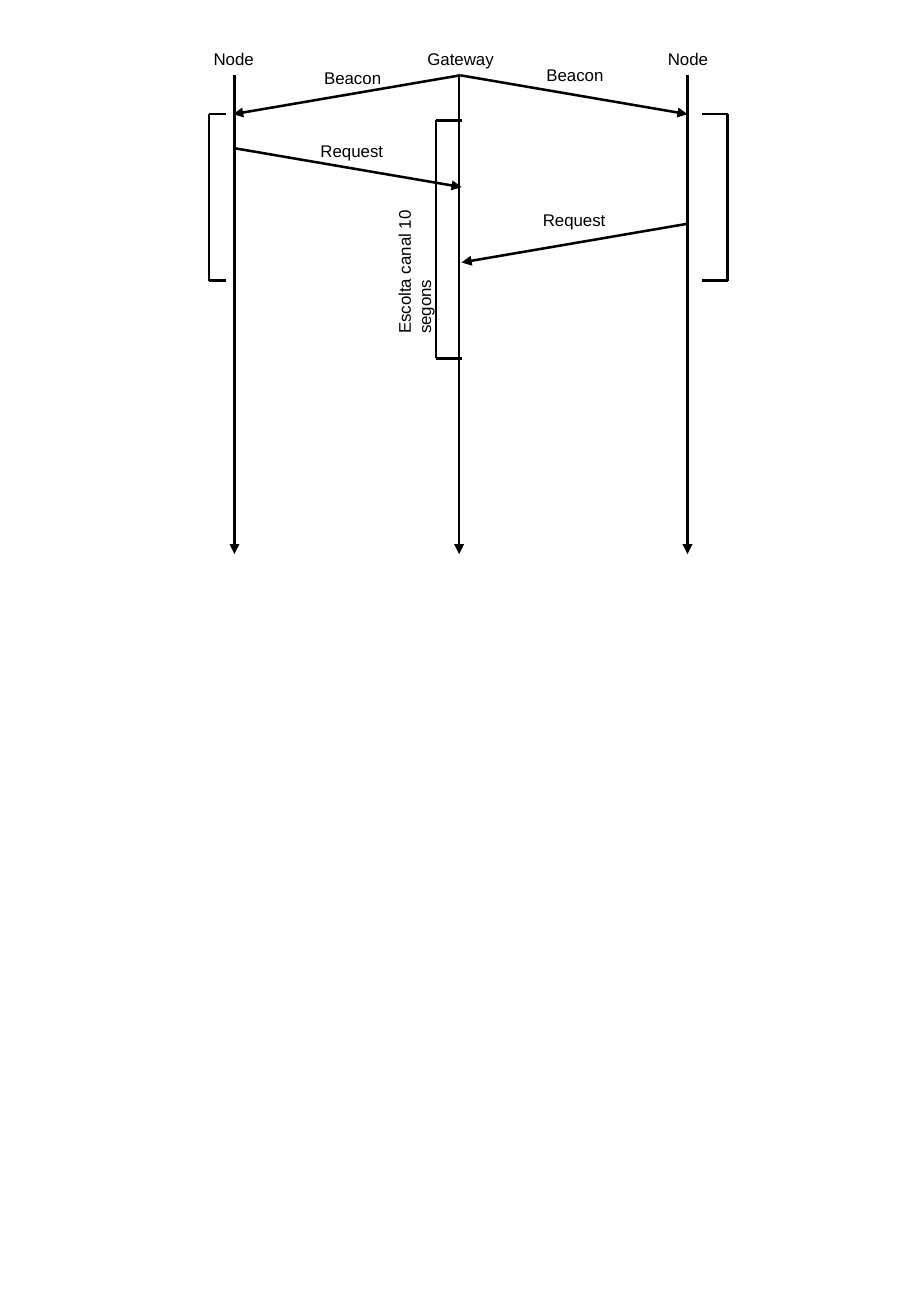
from lxml import etree
from pptx import Presentation
from pptx import util as u
from pptx.dml.color import RGBColor
from pptx.enum import shapes, text
from pptx.oxml import ns

COLORS = {"ink": "000000"}

prs = Presentation()
prs.slide_width, prs.slide_height = u.Inches(7.5), u.Inches(10.83)
s = prs.slides.add_slide(prs.slide_layouts[6])


def add_text(content, x, y, w, h=0.27, size=10, font="Arial", color="ink", wrap=False, rotation=0):
    sp = s.shapes.add_textbox(u.Inches(x), u.Inches(y), u.Inches(w), u.Inches(h))
    sp.rotation = rotation
    tf = sp.text_frame
    tf.word_wrap = wrap
    tf.auto_size = text.MSO_AUTO_SIZE.SHAPE_TO_FIT_TEXT
    r = tf.paragraphs[0].add_run()
    r.text = content
    r.font.size = u.Pt(size)
    r.font.name = font
    r.font.color.rgb = RGBColor.from_string(COLORS[color])


def add_line(parent, x1, y1, x2, y2, arrow=False):
    sp = parent.shapes.add_connector(
        shapes.MSO_CONNECTOR.STRAIGHT,
        u.Inches(x1), u.Inches(y1), u.Inches(x2), u.Inches(y2))
    sp.line.width = u.Pt(1.5)
    sp.line.color.rgb = RGBColor.from_string(COLORS["ink"])
    if arrow:
        etree.SubElement(sp.line._get_or_add_ln(), ns.qn("a:tailEnd"), type="triangle")
    etree.SubElement(sp._element.spPr, ns.qn("a:effectLst"))


# Lifelines with their names
left, middle, right = 1.93, 3.78, 5.66
top, bottom = 0.62, 4.56
for name, name_x, name_w, x in [("Node", 1.66, 0.54, left),
                                ("Gateway", 3.42, 0.75, middle),
                                ("Node", 5.4, 0.54, right)]:
    add_text(name, name_x, 0.35, name_w)
    add_line(s, x, top, x, bottom, arrow=True)

# Messages, each dropping by the same amount
drop = 0.32
for label, label_x, label_y, label_w, x1, x2, y in [
        ("Beacon", 2.57, 0.51, 0.67, 3.79, 1.92, top),
        ("Beacon", 4.4, 0.48, 0.67, 3.79, 5.66, top),
        ("Request", 2.54, 1.11, 0.72, 1.93, 3.8, 1.22),
        ("Request", 4.37, 1.68, 0.72, 5.67, 3.8, 1.84)]:
    add_line(s, x1, y, x2, y + drop, arrow=True)
    add_text(label, label_x, label_y, label_w)

# Brackets marking the listening windows
for spine, tip, y1, y2 in [(1.72, 1.86, 0.94, 2.31),
                           (5.99, 5.78, 0.94, 2.31),
                           (3.59, 3.8, 0.99, 2.95)]:
    bracket = s.shapes.add_group_shape()
    add_line(bracket, spine, y1, tip, y1)
    add_line(bracket, spine, y2, spine, y1)
    add_line(bracket, spine, y2, tip, y2)

add_text("Escolta canal 10 segons", 2.73, 1.94, 1.37, h=0.44, wrap=True, rotation=270)

prs.save("out.pptx")
